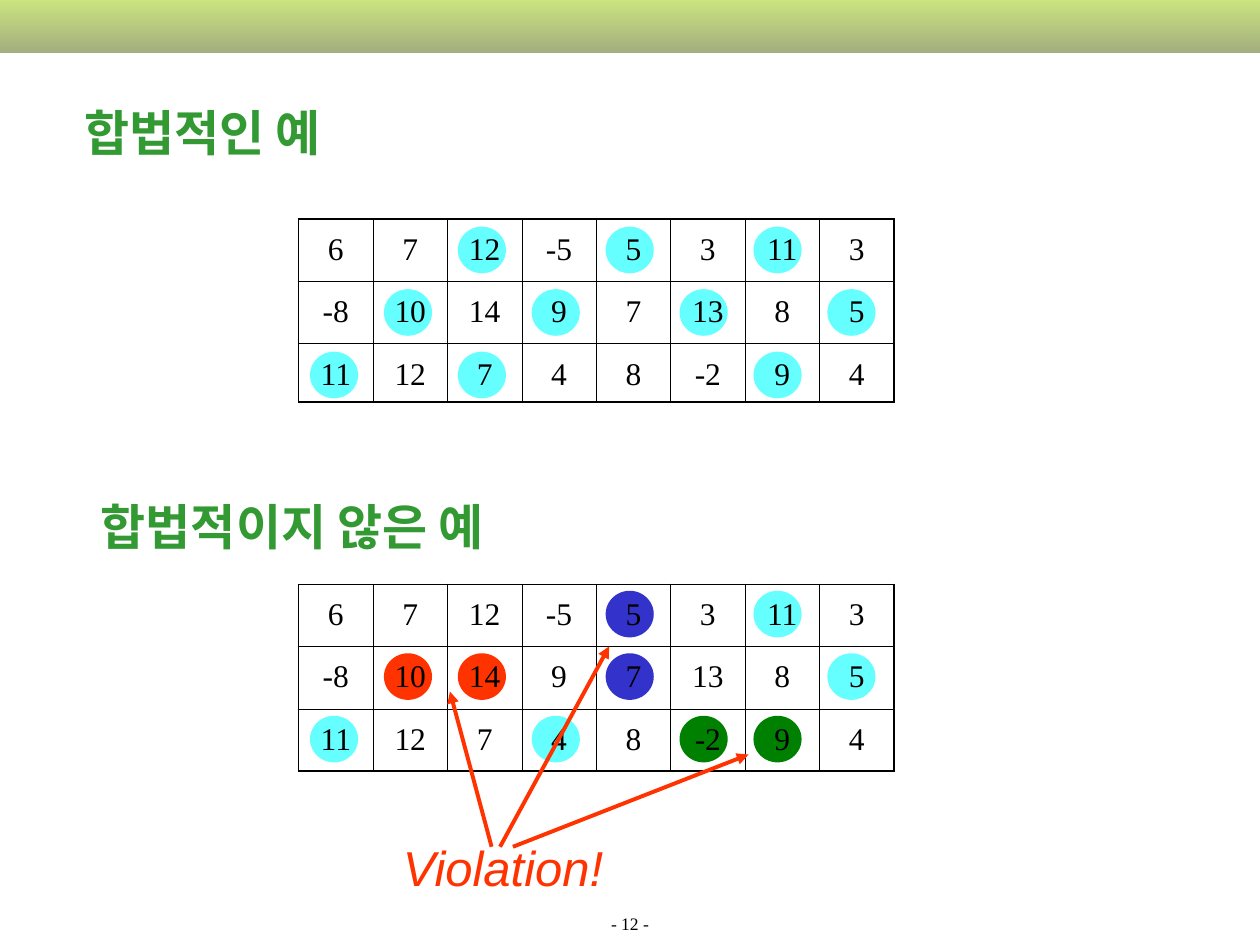
from dataclasses import dataclass

from lxml.etree import SubElement
from pptx import Presentation
from pptx.dml.color import RGBColor as RGB
from pptx.enum.shapes import MSO_CONNECTOR as CONN, MSO_SHAPE as SHAPE
from pptx.enum.text import MSO_ANCHOR as ANCHOR, MSO_AUTO_SIZE as AUTO, PP_ALIGN as ALIGN
from pptx.oxml.ns import qn
from pptx.util import Cm, Pt


@dataclass(frozen=True)
class Theme:
    """Colours, fonts and sizes of the slide."""
    black: str = "000000"
    heading: str = "339933"
    alert: str = "FF3300"
    bar_top: str = "99CC00"
    bar_bottom: str = "475E00"
    serif: str = "Times New Roman"
    sans: str = "Arial"
    korean: str = "Noto Sans CJK KR"
    heading_size: float = 28
    cell_size: float = 18
    page_size: float = 10
    outer_line: float = 1.08
    inner_line: float = 0.45
    arrow_line: float = 2.25


@dataclass(frozen=True)
class Board:
    """A number table with one pebble code per cell, in centimetres."""
    top: float
    row_heights: tuple[float, ...]
    pebble_top: float
    pebbles: tuple[str, ...]


@dataclass(frozen=True)
class Arrow:
    """A straight arrow between two points, in centimetres."""
    start: tuple[float, float]
    end: tuple[float, float]


THEME = Theme()
PEBBLE_COLOURS = {"c": "66FFFF", "b": "3333CC", "r": "FF3300", "g": "008000"}
NUMBERS = ((6, 7, 12, -5, 5, 3, 11, 3),
           (-8, 10, 14, 9, 7, 13, 8, 5),
           (11, 12, 7, 4, 8, -2, 9, 4))
BOARD_LEFT, COL_WIDTH = 6.02, 1.5
PEBBLE_LEFT, PEBBLE_COL_STEP, PEBBLE_ROW_STEP = 6.25, 1.49, 1.26
PEBBLE_WIDTH, PEBBLE_HEIGHT = 0.97, 0.94

LEGAL = Board(4.42, (1.25, 1.26, 1.17), 4.57,
              ("..c.c.c.", ".c.c.c.c", "c.c...c."))
ILLEGAL = Board(11.78, (1.25, 1.26, 1.25), 11.91,
                ("....b.c.", ".rr.b..c", "c..c.gg."))
ARROWS = (Arrow((9.91, 17.07), (9.07, 13.94)),
          Arrow((10.08, 17.07), (12.28, 13.03)),
          Arrow((10.34, 17.07), (15.09, 15.21)))


def style_text(tf, text: str, font: str, size: float, colour: str,
               align=ALIGN.CENTER, bold: bool = False, italic: bool = False) -> None:
    """Put one formatted paragraph in a text frame."""
    tf.text = text
    p = tf.paragraphs[0]
    p.alignment = align
    r = p.runs[0]
    r.font.name, r.font.size = font, Pt(size)
    r.font.bold, r.font.italic = bold, italic
    r.font.color.rgb = RGB.from_string(colour)
    SubElement(r.font._element, qn("a:ea"), typeface=font)


def place(sp, left: float, top: float, width: float, height: float) -> None:
    """Set the position and size of a shape."""
    sp.left, sp.top, sp.width, sp.height = map(Cm, (left, top, width, height))


def add_heading(sp, text: str, left: float, top: float, width: float) -> None:
    """Format a shape as a section heading."""
    place(sp, left, top, width, 2.29)
    tf = sp.text_frame
    tf.word_wrap, tf.auto_size = True, AUTO.NONE
    tf.vertical_anchor = ANCHOR.MIDDLE
    style_text(tf, text, THEME.korean, THEME.heading_size, THEME.heading, bold=True)


def add_text_box(s):
    """Add an empty text box to be placed later."""
    return s.shapes.add_textbox(0, 0, 0, 0)


def add_shape(s, kind, left: float, top: float, width: float, height: float):
    """Add a preset shape without outline or shadow."""
    sp = s.shapes.add_shape(kind, Cm(left), Cm(top), Cm(width), Cm(height))
    sp.shadow.inherit = False
    sp.line.fill.background()
    return sp


def add_bar(s) -> None:
    """Add the half-transparent gradient bar along the top."""
    sp = add_shape(s, SHAPE.RECTANGLE, 0, 0, 25.4, 1.07)
    sp.fill.gradient()
    sp.fill.gradient_angle = 270
    for stop, position, colour in zip(sp.fill.gradient_stops, (0, 1),
                                      (THEME.bar_top, THEME.bar_bottom)):
        stop.position = position
        stop.color.rgb = RGB.from_string(colour)
    for clr in sp._element.spPr.iter(qn("a:srgbClr")):
        SubElement(clr, qn("a:alpha"), val="50000")


def set_borders(cell, row: int, col: int) -> None:
    """Draw thick borders on the table's rim and thin ones inside."""
    tc_pr = cell._tc.get_or_add_tcPr()
    rim = {"L": col == 0, "R": col == len(NUMBERS[0]) - 1,
           "T": row == 0, "B": row == len(NUMBERS) - 1}
    for side, outer in rim.items():
        width = Pt(THEME.outer_line if outer else THEME.inner_line)
        ln = SubElement(tc_pr, qn(f"a:ln{side}"), w=str(width))
        SubElement(SubElement(ln, qn("a:solidFill")), qn("a:srgbClr"), val=THEME.black)


def add_board(s, board: Board) -> None:
    """Draw a board's pebbles and the number table over them."""
    for row, codes in enumerate(board.pebbles):
        for col, code in enumerate(codes):
            if code in PEBBLE_COLOURS:
                sp = add_shape(s, SHAPE.OVAL, PEBBLE_LEFT + col * PEBBLE_COL_STEP,
                               board.pebble_top + row * PEBBLE_ROW_STEP,
                               PEBBLE_WIDTH, PEBBLE_HEIGHT)
                sp.fill.solid()
                sp.fill.fore_color.rgb = RGB.from_string(PEBBLE_COLOURS[code])

    cols = len(NUMBERS[0])
    table = s.shapes.add_table(len(NUMBERS), cols, Cm(BOARD_LEFT), Cm(board.top),
                               Cm(cols * COL_WIDTH), Cm(sum(board.row_heights))).table
    table.first_row = table.horz_banding = False
    for column in table.columns:
        column.width = Cm(COL_WIDTH)
    for row, (height, values) in enumerate(zip(board.row_heights, NUMBERS)):
        table.rows[row].height = Cm(height)
        for col, value in enumerate(values):
            cell = table.cell(row, col)
            set_borders(cell, row, col)
            cell.fill.background()
            style_text(cell.text_frame, str(value), THEME.serif,
                       THEME.cell_size, THEME.black)
            cell.text_frame.paragraphs[0].line_spacing = 1.2


def add_arrow(s, arrow: Arrow) -> None:
    """Draw one violation arrow."""
    line = s.shapes.add_connector(CONN.STRAIGHT, *map(Cm, arrow.start + arrow.end))
    line.line.width = Pt(THEME.arrow_line)
    line.line.color.rgb = RGB.from_string(THEME.alert)
    SubElement(line.line._get_or_add_ln(), qn("a:tailEnd"), type="triangle")
    SubElement(line._element.spPr, qn("a:effectLst"))


def main() -> None:
    """Build and save the slide."""
    prs = Presentation()
    prs.slide_width, prs.slide_height = Cm(25.4), Cm(19.05)
    s = prs.slides.add_slide(prs.slide_layouts[5])
    add_bar(s)

    page = add_text_box(s)
    place(page, 0, 18.39, 25.4, 0.56)
    page.text_frame.word_wrap = True
    page.text_frame.vertical_anchor = ANCHOR.BOTTOM
    style_text(page.text_frame, "- 12 -", THEME.serif, THEME.page_size, THEME.black)

    add_heading(s.shapes.title, "합법적인 예", 0.53, 1.52, 7.09)
    add_board(s, LEGAL)
    add_heading(add_text_box(s), "합법적이지 않은 예", 0.91, 9.45, 9.96)
    add_board(s, ILLEGAL)

    label = add_text_box(s)
    place(label, 7.87, 16.76, 4.57, 1.45)
    label.text_frame.word_wrap = False
    label.text_frame.auto_size = AUTO.SHAPE_TO_FIT_TEXT
    style_text(label.text_frame, "Violation!", THEME.sans, THEME.heading_size,
               THEME.alert, align=ALIGN.LEFT, italic=True)
    for arrow in ARROWS:
        add_arrow(s, arrow)
    prs.save("out.pptx")


if __name__ == "__main__":
    main()
